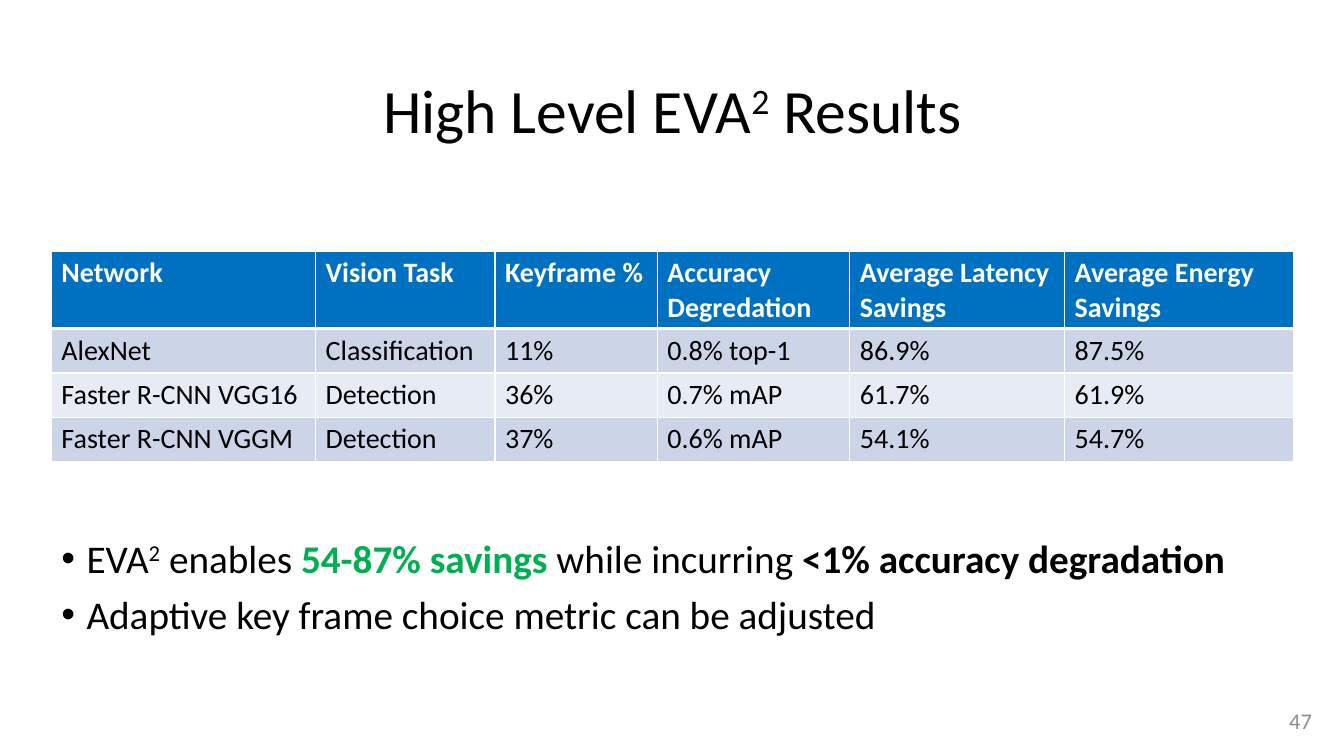
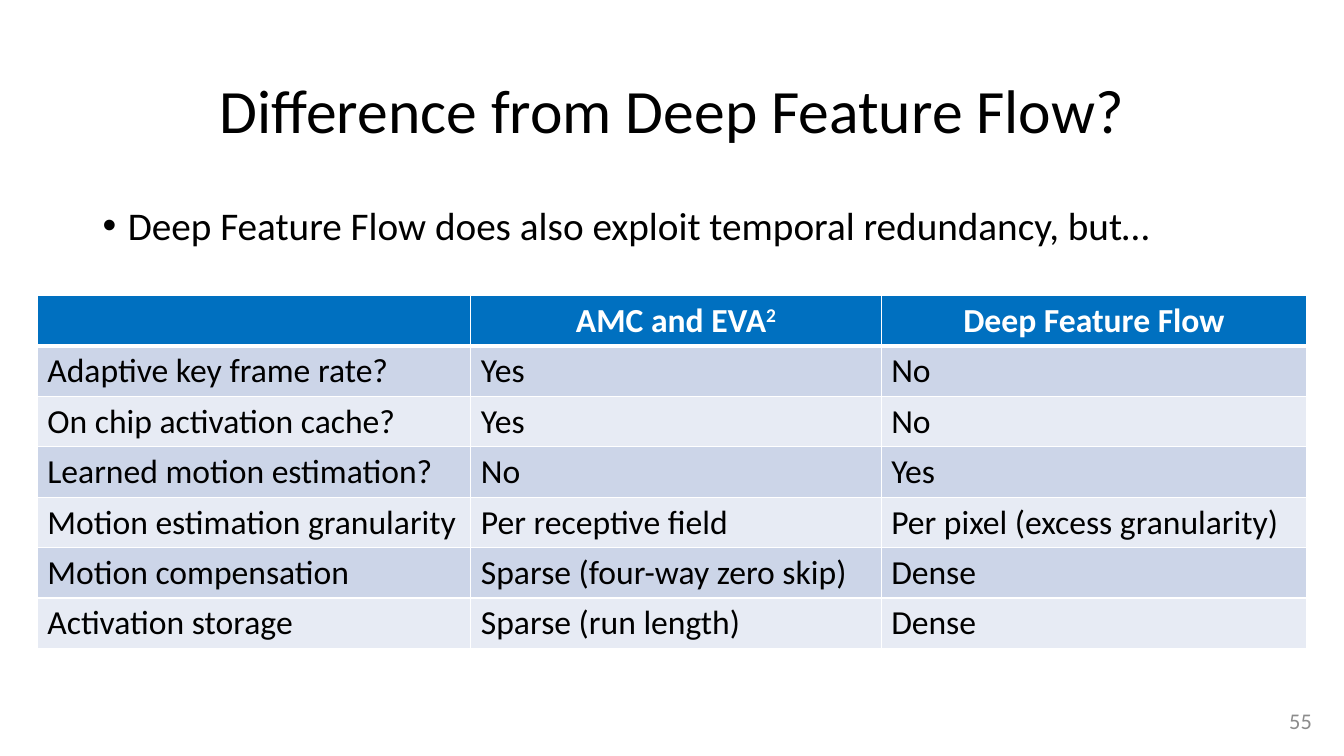
from dataclasses import dataclass

from lxml.etree import SubElement
from pptx import Presentation
from pptx.dml.color import RGBColor
from pptx.enum.text import MSO_ANCHOR, PP_ALIGN
from pptx.oxml.ns import qn
from pptx.util import Inches, Pt


@dataclass(frozen=True)
class Theme:
    font: str = "Calibri"
    text: str = "000000"
    white: str = "FFFFFF"
    header: str = "0070C0"
    bands: tuple = ("CCD5E8", "E7EBF4")
    savings: str = "00B050"
    muted: str = "8C8C8C"
    title_size: int = 44
    body_size: int = 28
    number_size: int = 16
    spacing: float = 0.9
    space_before: int = 10
    indent: float = 0.25
    rule: int = 1
    header_rule: int = 3


THEME = Theme()
TITLE_BOX = (0.92, 0.4, 11.5, 1.45)
NUMBER_BOX = (10.11, 6.95, 3, 0.4)

# Content: a text is a string or a list of strings and (string, format) runs
SUP2 = ("2", {"superscript": True})

SLIDES = [
    {
        "title": ["High Level EVA", SUP2, " Results"],
        "number": "47",
        "bullets": [
            ["EVA", SUP2, " enables ",
             ("54-87% savings ", {"bold": True, "color": THEME.savings}),
             "while incurring ",
             ("<1% accuracy degradation", {"bold": True})],
            "Adaptive key frame choice metric can be adjusted",
        ],
        "bullet_box": (0.51, 5.3, 12.32, 1.36),
        "table": {
            "at": (0.51, 2.49),
            "cols": (2.62, 1.78, 1.61, 1.91, 2.13, 2.27),
            "header_height": 0.77, "row_height": 0.44,
            "size": 20, "header_align": PP_ALIGN.LEFT,
            "rows": [
                ["Network", "Vision Task", "Keyframe %", "Accuracy Degredation",
                 "Average Latency Savings", "Average Energy Savings"],
                ["AlexNet", "Classification", "11%", "0.8% top-1", "86.9%", "87.5%"],
                ["Faster R-CNN VGG16", "Detection", "36%", "0.7% mAP", "61.7%", "61.9%"],
                ["Faster R-CNN VGGM", "Detection", "37%", "0.6% mAP", "54.1%", "54.7%"],
            ],
        },
    },
    {
        "title": "Difference from Deep Feature Flow?",
        "number": "55",
        "bullets": ["Deep Feature Flow does also exploit temporal redundancy, but…"],
        "bullet_box": (0.92, 2, 11.5, 0.7),
        "table": {
            "at": (0.37, 2.93),
            "cols": (4.3, 4.07, 4.22),
            "header_height": 0.5, "row_height": 0.5,
            "size": 24, "header_align": PP_ALIGN.CENTER,
            "rows": [
                ["", ["AMC and EVA", SUP2], "Deep Feature Flow"],
                ["Adaptive key frame rate?", "Yes", "No"],
                ["On chip activation cache?", "Yes", "No"],
                ["Learned motion estimation?", "No", "Yes"],
                ["Motion estimation granularity", "Per receptive field",
                 "Per pixel (excess granularity)"],
                ["Motion compensation", "Sparse (four-way zero skip)", "Dense"],
                ["Activation storage", "Sparse (run length)", "Dense"],
            ],
        },
    },
]


# Text
def write(p, text, size, color=THEME.text, bold=False, align=PP_ALIGN.LEFT,
          spacing=None, before=None, bullet=False):
    """Fill paragraph p with text, which may hold runs of their own format."""
    if bullet:
        pPr = p._p.get_or_add_pPr()
        pPr.set("marL", str(Inches(THEME.indent)))
        pPr.set("indent", str(-Inches(THEME.indent)))
        SubElement(pPr, qn("a:buFont"), typeface="Arial")
        SubElement(pPr, qn("a:buChar"), char="•")
    p.alignment = align
    if spacing:
        p.line_spacing = spacing
    if before:
        p.space_before = Pt(before)
    for part in [text] if isinstance(text, str) else text:
        words, own = (part, {}) if isinstance(part, str) else part
        if not words:
            continue
        r = p.add_run()
        r.text = words
        r.font.name = THEME.font
        r.font.size = Pt(size)
        r.font.bold = own.get("bold", bold)
        r.font.color.rgb = RGBColor.from_string(own.get("color", color))
        if own.get("superscript"):
            r._r.get_or_add_rPr().set("baseline", "30000")


def add_box(s, box, texts, anchor=MSO_ANCHOR.TOP, **fmt):
    tf = s.shapes.add_textbox(*map(Inches, box)).text_frame
    tf.word_wrap = True
    tf.vertical_anchor = anchor
    for i, text in enumerate(texts):
        p = tf.add_paragraph() if i else tf.paragraphs[0]
        write(p, text, before=THEME.space_before if i else None, **fmt)


# Table
def set_borders(cell, top, bottom):
    tcPr = cell._tc.get_or_add_tcPr()
    widths = {"L": THEME.rule, "R": THEME.rule, "T": top, "B": bottom}
    for side, width in widths.items():
        ln = SubElement(tcPr, qn(f"a:ln{side}"), w=str(Pt(width)))
        fill = SubElement(ln, qn("a:solidFill"))
        SubElement(fill, qn("a:srgbClr"), val=THEME.white)


def add_table(s, at, cols, header_height, row_height, size, header_align, rows):
    heights = [header_height] + [row_height] * (len(rows) - 1)
    frame = s.shapes.add_table(len(rows), len(cols),
                               *map(Inches, (*at, sum(cols), sum(heights))))
    table = frame.table
    table.horz_banding = False
    for column, width in zip(table.columns, cols):
        column.width = Inches(width)
    for i, (row, height) in enumerate(zip(rows, heights)):
        table.rows[i].height = Inches(height)
        head = i == 0
        for j, text in enumerate(row):
            cell = table.cell(i, j)
            set_borders(cell, THEME.header_rule if i == 1 else THEME.rule,
                        THEME.header_rule if head else THEME.rule)
            cell.fill.solid()
            cell.fill.fore_color.rgb = RGBColor.from_string(
                THEME.header if head else THEME.bands[(i - 1) % 2])
            write(cell.text_frame.paragraphs[0], text, size, bold=head,
                  color=THEME.white if head else THEME.text,
                  align=header_align if head else PP_ALIGN.LEFT)


# Slides
def add_slide(prs, content):
    s = prs.slides.add_slide(prs.slide_layouts[6])
    add_box(s, TITLE_BOX, [content["title"]], MSO_ANCHOR.MIDDLE,
            size=THEME.title_size, align=PP_ALIGN.CENTER, spacing=THEME.spacing)
    add_box(s, content["bullet_box"], content["bullets"],
            size=THEME.body_size, spacing=THEME.spacing, bullet=True)
    add_table(s, **content["table"])
    add_box(s, NUMBER_BOX, [content["number"]], MSO_ANCHOR.MIDDLE,
            size=THEME.number_size, color=THEME.muted, align=PP_ALIGN.RIGHT)


def main():
    prs = Presentation()
    prs.slide_width, prs.slide_height = Inches(13.33), Inches(7.5)
    for content in SLIDES:
        add_slide(prs, content)
    prs.save("out.pptx")


if __name__ == "__main__":
    main()
